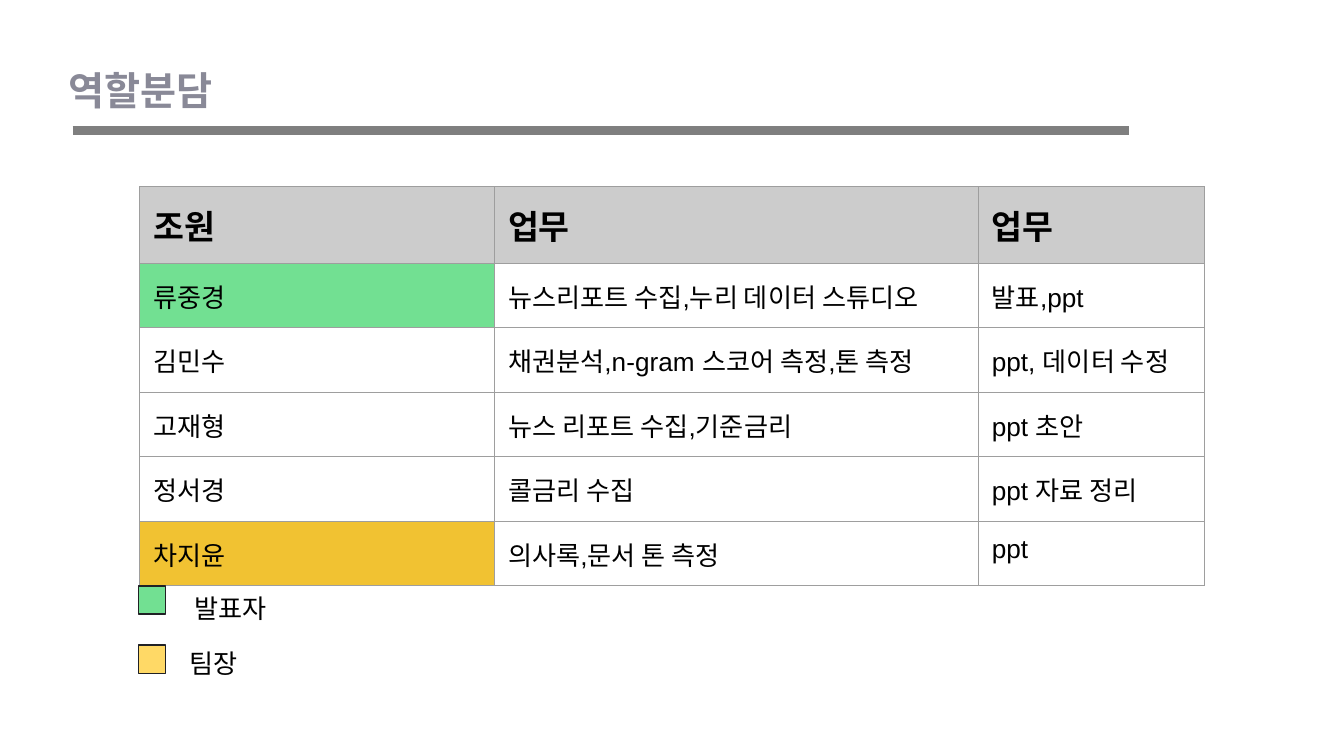
from dataclasses import dataclass

from lxml import etree
from pptx import Presentation
from pptx.dml.color import RGBColor
from pptx.enum.shapes import MSO_CONNECTOR, MSO_SHAPE
from pptx.oxml.ns import qn
from pptx.util import Inches, Pt

RECT = MSO_SHAPE.RECTANGLE
STRAIGHT = MSO_CONNECTOR.STRAIGHT


@dataclass(frozen=True)
class Theme:
    """Colours, fonts and type sizes of the slide."""
    title: str = "898997"
    rule: str = "7F7F7F"
    text: str = "000000"
    header: str = "CCCCCC"
    border: str = "9E9E9E"
    outline: str = "202125"
    presenter: str = "57DB7E"
    presenter_alpha: int = 84
    leader: str = "F1C232"
    leader_key: str = "FFD966"
    table_font: str = "Arial"
    label_font: str = "Open Sans"
    title_size: int = 21
    header_size: int = 18
    body_size: int = 14


T = Theme()

HEADER = ("조원", "업무", "업무")
MEMBERS = (
    ("류중경", "뉴스리포트 수집,누리 데이터 스튜디오", "발표,ppt"),
    ("김민수", "채권분석,n-gram 스코어 측정,톤 측정", "ppt, 데이터 수정"),
    ("고재형", "뉴스 리포트 수집,기준금리", "ppt 초안"),
    ("정서경", "콜금리 수집", "ppt 자료 정리"),
    ("차지윤", "의사록,문서 톤 측정", "ppt"),
)
MEMBER_FILLS = {"류중경": (T.presenter, T.presenter_alpha), "차지윤": (T.leader, 100)}
COLUMNS = (2.64, 3.6, 1.68)
HEADER_HEIGHT, ROW_HEIGHT = 0.57, 0.48


def set_fill(fill, color, alpha=100):
    """Fill with a solid colour at an opacity in percent."""
    fill.solid()
    fill.fore_color.rgb = RGBColor.from_string(color)
    if alpha < 100:
        srgb = fill._xPr.find(f"{qn('a:solidFill')}/{qn('a:srgbClr')}")
        etree.SubElement(srgb, qn("a:alpha"), val=str(alpha * 1000))


def set_line(line, color, width):
    """Give a line its colour and width in points."""
    line.color.rgb = RGBColor.from_string(color)
    line.width = Pt(width)


def set_text(tf, text, font, size, color, bold=False):
    """Write one paragraph with a single font and return it."""
    p = tf.paragraphs[0]
    p.text = text
    p.font.name = font
    p.font.size = Pt(size)
    p.font.bold = bold
    p.font.color.rgb = RGBColor.from_string(color)
    return p


def set_margins(target, x, y):
    """Set the horizontal and vertical insets of a text frame or cell."""
    target.margin_left = target.margin_right = Inches(x)
    target.margin_top = target.margin_bottom = Inches(y)


def set_borders(cell):
    """Draw the four cell borders, placed ahead of the cell fill."""
    tc_pr = cell._tc.get_or_add_tcPr()
    for i, side in enumerate(("a:lnL", "a:lnR", "a:lnT", "a:lnB")):
        ln = etree.Element(qn(side), w=str(Pt(0.75)))
        fill = etree.SubElement(ln, qn("a:solidFill"))
        etree.SubElement(fill, qn("a:srgbClr"), val=T.border)
        tc_pr.insert(i, ln)


def add_text(s, x, y, w, h, inset):
    """Add a wrapping text box and return its text frame."""
    tf = s.shapes.add_textbox(Inches(x), Inches(y), Inches(w), Inches(h)).text_frame
    tf.word_wrap = True
    set_margins(tf, *inset)
    return tf


def add_title(s, x, y, w, h):
    """Place the title and the rule beneath it."""
    tf = add_text(s, x, y, w, h, (0.07, 0.04))
    p = set_text(tf, "역할분담", T.label_font, T.title_size, T.title, True)
    p.line_spacing = 1.5
    rule_x, rule_y = Inches(x + 0.1), Inches(y + 0.69)
    rule = s.shapes.add_connector(STRAIGHT, rule_x, rule_y, Inches(x + 7.96), rule_y)
    set_line(rule.line, T.rule, 4.5)
    etree.SubElement(rule._element.spPr, qn("a:effectLst"))


def add_roles(s, x, y):
    """Place the table of members and their tasks."""
    rows = (HEADER, *MEMBERS)
    heights = [HEADER_HEIGHT] + [ROW_HEIGHT] * len(MEMBERS)
    table = s.shapes.add_table(len(rows), len(COLUMNS), Inches(x), Inches(y),
                               Inches(sum(COLUMNS)), Inches(sum(heights))).table
    table.horz_banding = False
    for column, width in zip(table.columns, COLUMNS):
        column.width = Inches(width)
    for i, (row, height) in enumerate(zip(rows, heights)):
        table.rows[i].height = Inches(height)
        for j, text in enumerate(row):
            cell = table.cell(i, j)
            size = T.body_size if i else T.header_size
            set_text(cell.text_frame, text, T.table_font, size, T.text, i == 0)
            set_margins(cell, 0.1, 0.1)
            if i == 0:
                set_fill(cell.fill, T.header)
            elif text in MEMBER_FILLS:
                set_fill(cell.fill, *MEMBER_FILLS[text])
            else:
                cell.fill.background()
            set_borders(cell)


def add_key(s, x, y, label, label_dx, label_dy, color, alpha=100):
    """Place one legend swatch and its label."""
    sp = s.shapes.add_shape(RECT, Inches(x), Inches(y), Inches(0.2), Inches(0.21))
    sp.shadow.inherit = False
    set_fill(sp.fill, color, alpha)
    set_line(sp.line, T.outline, 0.75)
    tf = add_text(s, x + label_dx, y + label_dy, 2.87, 0.37, (0.1, 0.1))
    set_text(tf, label, T.label_font, T.body_size, T.text)


def main():
    """Build and save the slide."""
    prs = Presentation()
    prs.slide_width = Inches(10)
    prs.slide_height = prs.slide_width * 9 // 16
    s = prs.slides.add_slide(prs.slide_layouts[6])
    add_title(s, 0.44, 0.28, 7.93, 0.54)
    add_roles(s, 1.04, 1.39)
    add_key(s, 1.03, 4.36, "발표자", 0.32, -0.05, T.presenter, T.presenter_alpha)
    add_key(s, 1.03, 4.8, "팀장", 0.28, -0.08, T.leader_key)
    prs.save("out.pptx")


if __name__ == "__main__":
    main()
